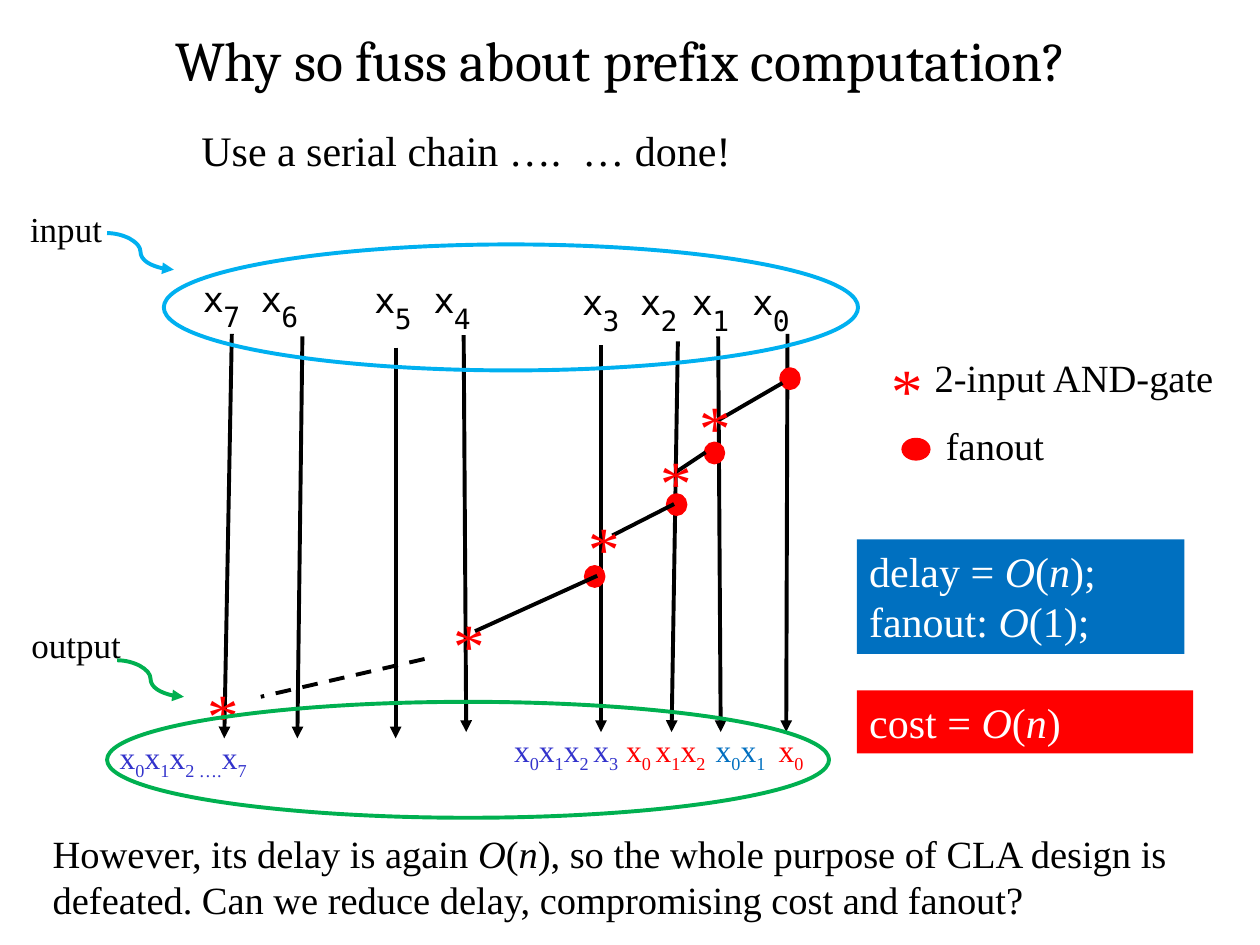
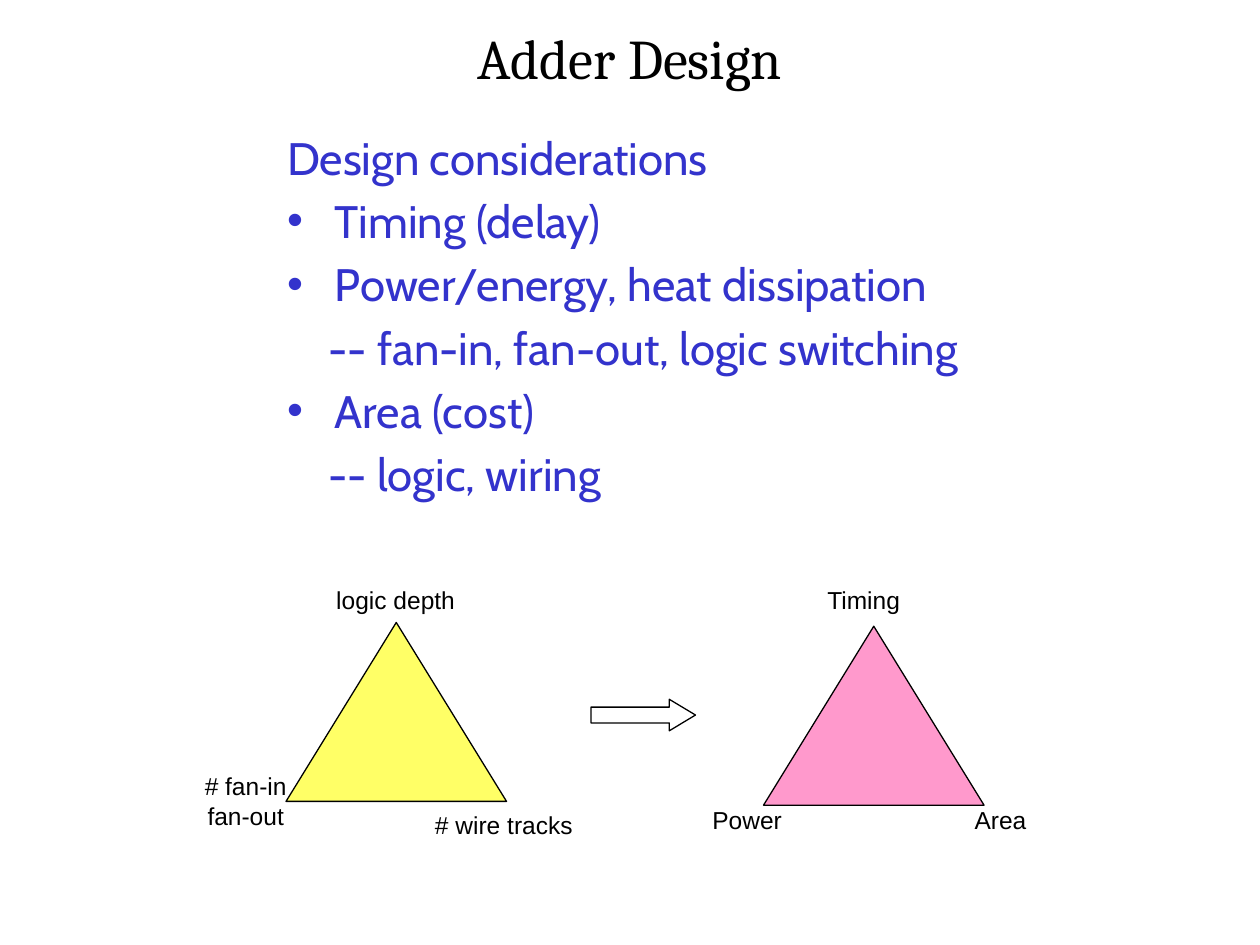
from lxml import etree
from pptx import Presentation
from pptx.dml.color import RGBColor
from pptx.enum.dml import MSO_LINE
from pptx.enum.shapes import MSO_CONNECTOR, MSO_SHAPE
from pptx.enum.text import MSO_ANCHOR, PP_ALIGN
from pptx.oxml.ns import qn
from pptx.util import Inches, Pt

BLACK = RGBColor(0x00, 0x00, 0x00)
WHITE = RGBColor(0xFF, 0xFF, 0xFF)
RED = RGBColor(0xFF, 0x00, 0x00)
BLUE = RGBColor(0x00, 0x70, 0xC0)
INDIGO = RGBColor(0x33, 0x33, 0xCC)
SKY = RGBColor(0x00, 0xB0, 0xF0)
GREEN = RGBColor(0x00, 0xB0, 0x50)
YELLOW = RGBColor(0xFF, 0xFF, 0x66)
PINK = RGBColor(0xFF, 0x99, 0xCC)

TITLE_FONT = "Cambria"
SERIF = "Times New Roman"
MONO = "DejaVu Sans Mono"
SANS = "Arial"
LIST_FONT = "Cabin"

LEFT, CENTER = PP_ALIGN.LEFT, PP_ALIGN.CENTER
TOP, MIDDLE = MSO_ANCHOR.TOP, MSO_ANCHOR.MIDDLE
STRAIGHT, CURVE = MSO_CONNECTOR.STRAIGHT, MSO_CONNECTOR.CURVE
RECTANGLE, ELLIPSE = MSO_SHAPE.RECTANGLE, MSO_SHAPE.OVAL
TRIANGLE, RIGHT_ARROW = MSO_SHAPE.ISOSCELES_TRIANGLE, MSO_SHAPE.RIGHT_ARROW
DASH = MSO_LINE.DASH

LINE_WIDTH = 2.25
INSETS = (0.1, 0.05)


def write_runs(paragraph, parts, size, font, color, odd_style="italic"):
    for index, part in enumerate(parts):
        run = paragraph.add_run()
        run.text = part
        run.font.size = Pt(size)
        run.font.name = font
        run.font.color.rgb = color
        if index % 2 and odd_style == "italic":
            run.font.italic = True
        elif index % 2:
            run.font._element.set("baseline", "-25000")


def fill_frame(frame, lines, size, font, color, align=LEFT, anchor=TOP,
               insets=INSETS, wrap=True, odd_style="italic"):
    frame.word_wrap = wrap
    frame.vertical_anchor = anchor
    frame.margin_left = frame.margin_right = Inches(insets[0])
    frame.margin_top = frame.margin_bottom = Inches(insets[1])
    for index, parts in enumerate(lines):
        paragraph = frame.add_paragraph() if index else frame.paragraphs[0]
        paragraph.alignment = align
        write_runs(paragraph, parts, size, font, color, odd_style)


def add_text(slide, box, lines, size, font=SERIF, color=BLACK, **layout):
    shape = slide.shapes.add_textbox(*map(Inches, box))
    fill_frame(shape.text_frame, lines, size, font, color, **layout)
    return shape


def add_shape(slide, kind, box, fill=None, line=None, width=LINE_WIDTH):
    shape = slide.shapes.add_shape(kind, *map(Inches, box))
    shape.shadow.inherit = False
    if fill is None:
        shape.fill.background()
    else:
        shape.fill.solid()
        shape.fill.fore_color.rgb = fill
    if line is None:
        shape.line.fill.background()
    else:
        shape.line.color.rgb = line
        shape.line.width = Pt(width)
    return shape


def add_line(slide, start, end, color=BLACK, kind=STRAIGHT, arrow=False, dash=None):
    connector = slide.shapes.add_connector(kind, *map(Inches, (*start, *end)))
    connector.line.color.rgb = color
    connector.line.width = Pt(LINE_WIDTH)
    if dash is not None:
        connector.line.dash_style = dash
    properties = connector._element.spPr
    if arrow:
        etree.SubElement(properties.find(qn("a:ln")), qn("a:tailEnd"), type="triangle")
    etree.SubElement(properties, qn("a:effectLst"))


def add_title(slide, left, top, text):
    add_text(slide, (left, top, 10, 0.75), [[text]], 32, TITLE_FONT,
             align=CENTER, anchor=MIDDLE)


def add_star(slide, left, top):
    add_text(slide, (left, top, 0.39, 0.71), [["*"]], 36, color=RED)


def add_dot(slide, left, top, width=0.14):
    add_shape(slide, ELLIPSE, (left, top, width, 0.15), RED, RED)


def add_inputs(slide, left, top):
    labels = [(7, 0.11, 0), (6, 0.57, 0), (5, 1.47, 0.01), (4, 1.94, 0.01),
              (3, 3.12, 0.03), (2, 3.58, 0.03), (1, 3.99, 0.03), (0, 4.47, 0.03)]
    style = dict(font=MONO, align=CENTER, insets=(0, 0), wrap=False)
    for number, x, y in labels:
        add_text(slide, (left + x, top + y, 0.17, 0.33), [["x"]], 20, **style)
        add_text(slide, (left + x + 0.16, top + y + 0.18, 0.14, 0.27),
                 [[str(number)]], 16, **style)


def add_chain(slide, left, top):
    def place(x, y):
        return left + x, top + y

    wires = [(0.34, 0.45, 0.28, 3.66), (0.9, 0.47, 0.86, 3.66),
             (1.64, 0.56, 1.64, 3.66), (2.18, 0.46, 2.2, 3.61),
             (3.27, 0.54, 3.27, 3.61), (3.88, 0.51, 3.83, 3.61),
             (4.2, 0.47, 4.22, 3.61), (4.75, 0.45, 4.74, 3.61)]
    links = [(4.71, 0.84, 4.21, 1.13), (4.1, 1.39, 3.86, 1.55),
             (3.85, 1.8, 3.36, 2.05), (3.24, 2.37, 2.27, 2.81)]
    dots = [(4.7, 0.73), (4.1, 1.32), (3.8, 1.73), (3.15, 2.3)]
    stars = [(3.95, 0.83), (3.64, 1.26), (3.07, 1.79), (2, 2.56), (0.05, 3.11)]
    for x1, y1, x2, y2 in wires:
        add_line(slide, place(x1, y1), place(x2, y2), arrow=True)
    for dot in dots:
        add_dot(slide, *place(*dot))
    for x1, y1, x2, y2 in links:
        add_line(slide, place(x1, y1), place(x2, y2))
    add_line(slide, place(1.87, 3.03), place(0.57, 3.33), dash=DASH)
    for star in stars:
        add_star(slide, *place(*star))


def add_products(slide, left, top):
    products = [(0, 0.06, 1.32, "x|0|x|1|x|2 ….|x|7", INDIGO),
                (3.13, 0, 0.9, "x|0|x|1|x|2 |x|3", INDIGO),
                (4.02, 0, 0.7, "x|0 |x|1|x|2", RED),
                (4.73, 0, 0.5, "x|0|x|1", BLUE),
                (5.23, 0, 0.3, "x|0", RED)]
    for x, y, width, terms, color in products:
        add_text(slide, (left + x, top + y, width, 0.4), [terms.split("|")], 18,
                 color=color, insets=(0, 0.05), wrap=False, odd_style="subscript")


def add_callout(slide, left, top, text, color, pointer, ring):
    add_shape(slide, ELLIPSE, ring, line=color)
    add_text(slide, (left, top, 1.16, 0.44), [[text]], 20)
    x, y = left + pointer[0], top + pointer[1]
    add_line(slide, (x, y), (x + 0.53, y + 0.29), color, CURVE, arrow=True)


def add_legend(slide, left, top):
    add_star(slide, left, top)
    add_text(slide, (left + 0.34, top + 0.03, 2.57, 0.47), [["2-input AND-gate"]], 22)
    add_dot(slide, left + 0.19, top + 0.76, 0.2)
    add_text(slide, (left + 0.43, top + 0.57, 2.23, 0.47), [["fanout"]], 22)


def add_result(slide, box, color, lines):
    shape = add_shape(slide, RECTANGLE, box, color)
    fill_frame(shape.text_frame, lines, 24, SERIF, WHITE)


def build_prefix_slide(slide):
    add_title(slide, -0.07, 0.09, "Why so fuss about prefix computation?")
    add_text(slide, (1.5, 0.94, 6.23, 0.5), [["Use a serial chain ….  … done!"]], 24)
    add_inputs(slide, 1.5, 2.2)
    add_products(slide, 0.95, 5.75)
    add_result(slide, (6.8, 4.28, 2.6, 0.91), BLUE,
               [["delay = ", "O", "(", "n", ");"], ["fanout: ", "O", "(1);"]])
    add_result(slide, (6.8, 5.48, 2.67, 0.5), RED, [["cost = ", "O", "(", "n", ")"]])
    add_chain(slide, 1.5, 2.2)
    add_legend(slide, 6.98, 2.73)
    add_callout(slide, 0.14, 1.6, "input", SKY, (0.71, 0.25), (1.3, 1.94, 5.51, 1))
    add_callout(slide, 0.15, 4.9, "output", GREEN, (0.78, 0.34), (0.85, 5.57, 5.73, 0.92))
    add_text(slide, (0.32, 6.54, 9.35, 0.84),
             [["However, its delay is again ", "O", "(", "n",
               "), so the whole purpose of CLA design is defeated. "
               "Can we reduce delay, compromising cost and fanout?"]], 22)


def add_considerations(slide, box):
    items = [("Design considerations", 0, False), ("Timing (delay)", 0.38, True),
             ("Power/energy, heat dissipation", 0.38, True),
             ("-- fan-in, fan-out, logic switching", 0.33, False),
             ("Area (cost)", 0.38, True), ("-- logic, wiring", 0.33, False)]
    shape = add_text(slide, box, [[text] for text, _, _ in items], 26, LIST_FONT, INDIGO)
    for index, (paragraph, item) in enumerate(zip(shape.text_frame.paragraphs, items)):
        _, indent, bulleted = item
        paragraph.space_before = Pt(5 if index else 0)
        properties = paragraph._p.get_or_add_pPr()
        properties.set("marL", str(Inches(indent)))
        if bulleted:
            properties.set("indent", str(-Inches(indent)))
            bullet_color = etree.SubElement(properties, qn("a:buClr"))
            etree.SubElement(bullet_color, qn("a:srgbClr"), val=str(INDIGO))
            etree.SubElement(properties, qn("a:buFont"), typeface=SANS)
            etree.SubElement(properties, qn("a:buChar"), char="•")


def add_tradeoff(slide, left, top, color, corners):
    add_shape(slide, TRIANGLE, (left, top, 1.75, 1.42), color, BLACK, 0.75)
    for x, y, width, lines in corners:
        add_text(slide, (left + x, top + y, width, 0.24 * len(lines)),
                 [[line] for line in lines], 14, SANS, align=CENTER, insets=(0, 0))


def build_adder_slide(slide):
    add_title(slide, 0, 0.08, "Adder Design")
    add_considerations(slide, (2.18, 0.98, 6.24, 2.3))
    add_tradeoff(slide, 2.27, 4.94, YELLOW,
                 [(0.33, -0.3, 1.08, ["logic depth"]),
                  (-1.03, 1.18, 1.42, ["# fan-in", "fan-out"]),
                  (0.98, 1.49, 1.5, ["# wire tracks"])])
    add_tradeoff(slide, 6.06, 4.97, PINK,
                 [(0.46, -0.33, 0.67, ["Timing"]),
                  (-0.67, 1.42, 1.08, ["Power"]),
                  (1.42, 1.42, 0.92, ["Area"])])
    arrow = add_shape(slide, RIGHT_ARROW, (4.69, 5.55, 0.83, 0.25), line=BLACK, width=0.75)
    arrow.adjustments[1] = 0.83


def main():
    presentation = Presentation()
    presentation.slide_width = Inches(10)
    presentation.slide_height = Inches(7.5)
    blank = presentation.slide_layouts[6]
    for build in (build_prefix_slide, build_adder_slide):
        build(presentation.slides.add_slide(blank))
    presentation.save("out.pptx")


if __name__ == "__main__":
    main()
